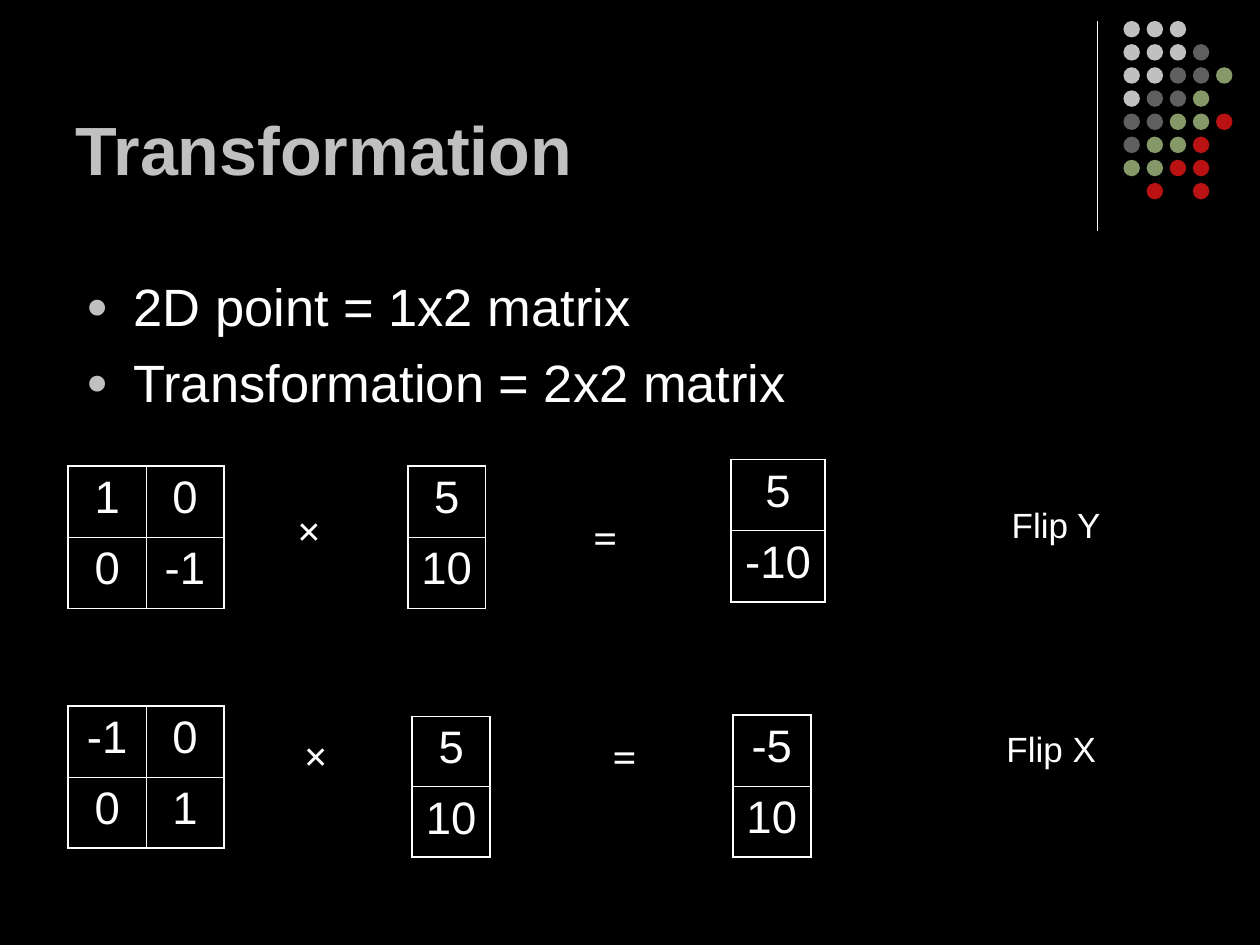
from lxml.etree import SubElement
from pptx import Presentation
from pptx.dml.color import RGBColor
from pptx.enum.shapes import MSO_CONNECTOR, MSO_SHAPE
from pptx.enum.text import MSO_ANCHOR, MSO_AUTO_SIZE, PP_ALIGN
from pptx.oxml import parse_xml
from pptx.oxml.ns import nsdecls, qn
from pptx.util import Pt


def color(hex_string):
    return RGBColor.from_string(hex_string)


class SlideBuilder:
    FONT = "Arial"
    SYMBOL_FONT = "Times New Roman"
    BACKGROUND = "000000"
    TEXT = "FFFFFF"
    ACCENT = "C0C0C0"
    DOT_COLORS = {"L": "C0C0C0", "D": "5F5F5F", "G": "859968", "R": "BA1212"}
    DOT_COLORS["G"] = "859868"
    OUTER, INNER = 1.08, 0.45

    def __init__(self, slide):
        self.slide = slide
        slide.background.fill.solid()
        slide.background.fill.fore_color.rgb = color(self.BACKGROUND)

    def style(self, paragraph, size, name=FONT, hex_string=TEXT, bold=False):
        font = paragraph.font
        font.name, font.size, font.bold = name, Pt(size), bold
        font.color.rgb = color(hex_string)

    def place(self, shape, left, top, width, height):
        shape.left, shape.top = Pt(left), Pt(top)
        shape.width, shape.height = Pt(width), Pt(height)

    def title(self, text, *box):
        shape = self.slide.shapes.title
        self.place(shape, *box)
        frame = shape.text_frame
        frame.text = text
        frame.auto_size = MSO_AUTO_SIZE.NONE
        frame.vertical_anchor = MSO_ANCHOR.BOTTOM
        frame.paragraphs[0].alignment = PP_ALIGN.LEFT
        self.style(frame.paragraphs[0], 39, hex_string=self.ACCENT, bold=True)

    def bullets(self, lines, *box):
        shape = self.slide.placeholders[1]
        self.place(shape, *box)
        frame = shape.text_frame
        frame.text = "\n".join(lines)
        frame.auto_size = MSO_AUTO_SIZE.NONE
        frame.margin_top = Pt(6.5)
        for index, paragraph in enumerate(frame.paragraphs):
            properties = paragraph._p.get_or_add_pPr()
            properties.set("marL", str(Pt(27)))
            properties.set("indent", str(Pt(-27)))
            bullet_color = SubElement(properties, qn("a:buClr"))
            SubElement(bullet_color, qn("a:srgbClr"), val=self.ACCENT)
            SubElement(properties, qn("a:buSzPct"), val="70000")
            SubElement(properties, qn("a:buChar"), char="●")
            paragraph.space_before = Pt(7.5 if index else 0)
            self.style(paragraph, 30)

    def label(self, text, left, top, width, height, size, **style):
        shape = self.slide.shapes.add_textbox(Pt(left), Pt(top), Pt(width), Pt(height))
        frame = shape.text_frame
        frame.word_wrap = True
        frame.text = text
        self.style(frame.paragraphs[0], size, **style)

    def operator(self, text, left, top):
        self.label(text, left, top, 32.4, 36, 24, name=self.SYMBOL_FONT, bold=True)

    def borders(self, cell, widths):
        cell.fill.background()
        properties = cell._tc.get_or_add_tcPr()
        for index, (side, width) in enumerate(zip("LRTB", widths)):
            properties.insert(index, parse_xml(
                f'<a:ln{side} {nsdecls("a")} w="{Pt(width)}"><a:solidFill>'
                f'<a:srgbClr val="{self.TEXT}"/></a:solidFill></a:ln{side}>'))

    def matrix(self, values, left, top, column_width=44.5, row_height=40.7):
        rows, columns = len(values), len(values[0])
        table = self.slide.shapes.add_table(
            rows, columns, Pt(left), Pt(top),
            Pt(columns * column_width), Pt(rows * row_height)).table
        table.first_row = table.horz_banding = False
        for column in table.columns:
            column.width = Pt(column_width)
        for row_index, row in enumerate(values):
            table.rows[row_index].height = Pt(row_height)
            for column_index, value in enumerate(row):
                cell = table.cell(row_index, column_index)
                cell.text = str(value)
                paragraph = cell.text_frame.paragraphs[0]
                paragraph.alignment = PP_ALIGN.CENTER
                self.style(paragraph, 26)
                on_edge = (column_index == 0, column_index == columns - 1,
                           row_index == 0, row_index == rows - 1)
                self.borders(cell, [self.OUTER if edge else self.INNER for edge in on_edge])

    def line(self, x1, y1, x2, y2):
        connector = self.slide.shapes.add_connector(
            MSO_CONNECTOR.STRAIGHT, Pt(x1), Pt(y1), Pt(x2), Pt(y2))
        connector.line.color.rgb = color(self.TEXT)
        connector.line.width = Pt(0.75)
        SubElement(connector._element.spPr, qn("a:effectLst"))

    def dots(self, pattern, left, top, pitch, size):
        group = self.slide.shapes.add_group_shape()
        for row_index, row in enumerate(pattern):
            for column_index, key in enumerate(row):
                if key not in self.DOT_COLORS:
                    continue
                dot = group.shapes.add_shape(
                    MSO_SHAPE.OVAL, Pt(left + column_index * pitch),
                    Pt(top + row_index * pitch), Pt(size), Pt(size))
                dot.shadow.inherit = False
                dot.fill.solid()
                dot.fill.fore_color.rgb = color(self.DOT_COLORS[key])
                dot.line.fill.background()


def main():
    presentation = Presentation()
    presentation.slide_width, presentation.slide_height = Pt(720), Pt(540)
    slide = presentation.slides.add_slide(presentation.slide_layouts[1])
    builder = SlideBuilder(slide)

    # Corner decoration
    builder.line(627, 12, 627, 132)
    builder.dots(["LLL", "LLLD", "LLDDG", "LDDG", "DDGGR", "DGGR", "GGRR", ".R.R"],
                 642, 12, 13.22, 9.4)

    # Title and list
    builder.title("Transformation", 36, 9.5, 594, 102)
    builder.bullets(["2D point = 1x2 matrix", "Transformation = 2x2 matrix"],
                    42, 150, 648, 97)

    # Reflection that flips Y
    builder.matrix([[1, 0], [0, -1]], 39, 266.3)
    builder.operator("×", 162.7, 285)
    builder.matrix([[5], [10]], 233, 266.3)
    builder.operator("=", 332, 288.7)
    builder.matrix([[5], [-10]], 417.6, 262.6, column_width=54)
    builder.label("Flip Y", 571, 284.4, 106, 31.5, 20)

    # Reflection that flips X
    builder.matrix([[-1, 0], [0, 1]], 39, 403.4)
    builder.operator("×", 166.5, 413.5)
    builder.matrix([[5], [10]], 235.6, 409.4, row_height=40.2)
    builder.operator("=", 343, 414)
    builder.matrix([[-5], [10]], 418.8, 408.5)
    builder.label("Flip X", 568, 412, 106, 31.5, 20)

    presentation.save("out.pptx")


if __name__ == "__main__":
    main()
